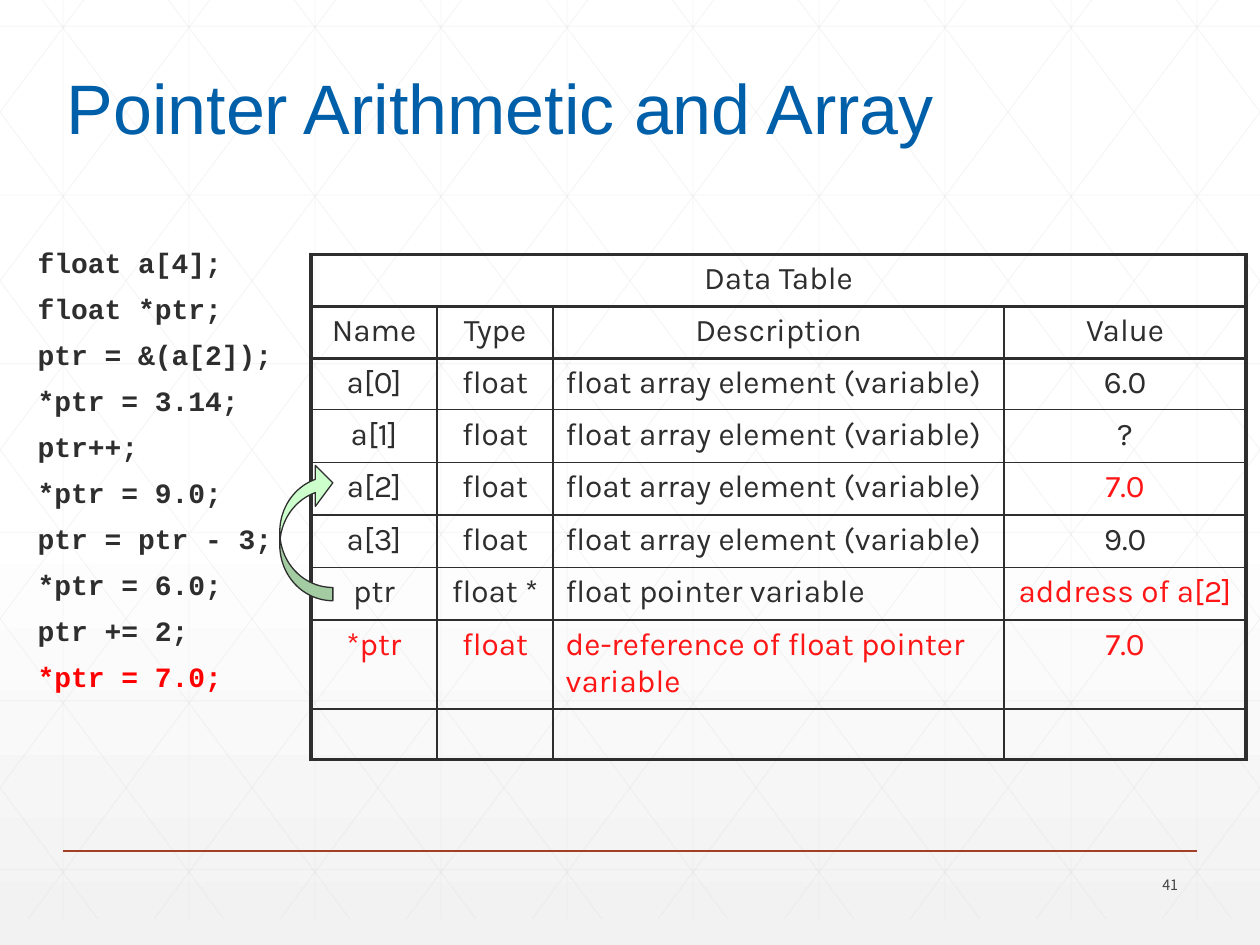
import dataclasses
import typing

import lxml.etree
import pptx
import pptx.dml.color
import pptx.enum.shapes
import pptx.enum.text
import pptx.oxml.ns
import pptx.util

Cm = pptx.util.Cm
Pt = pptx.util.Pt
Align = pptx.enum.text.PP_ALIGN
Anchor = pptx.enum.text.MSO_ANCHOR

COLORS = {
    "white": "FFFFFF",
    "background_end": "F2F2F2",
    "grid": "D9D9D9",
    "rule": "A43F27",
    "title": "005FA9",
    "ink": "2D2E2D",
    "number": "424342",
    "code_red": "FF0000",
    "table_red": "FF1717",
    "arrow": "CCFFCC",
}
SLIDE_WIDTH = 25.4
GRID_TOP, GRID_BOTTOM = -0.53, 18.52
GRID_STEP = 2.54
DIAGONAL_RUN = 14.21
DIAGONAL_SLOPE = (GRID_BOTTOM - GRID_TOP) / DIAGONAL_RUN
THICK, THIN = 2.25, 1


@dataclasses.dataclass
class Line:
    x1: float
    y1: float
    x2: float
    y2: float


@dataclasses.dataclass
class TextStyle:
    font: str
    size: float
    color: str
    bold: bool = False


@dataclasses.dataclass
class Variable:
    name: str
    type: str
    description: str
    value: str
    red_from: int = 4

    def texts(self) -> list[str]:
        return [self.name, self.type, self.description, self.value]


ELEMENT = "float array element (variable)"
VARIABLES = [
    Variable("Name", "Type", "Description", "Value"),
    Variable("a[0]", "float", ELEMENT, "6.0"),
    Variable("a[1]", "float", ELEMENT, "?"),
    Variable("a[2]", "float", ELEMENT, "7.0", red_from=3),
    Variable("a[3]", "float", ELEMENT, "9.0"),
    Variable("ptr", "float *", "float pointer variable", "address of a[2]", red_from=3),
    Variable("*ptr", "float", "de-reference of float pointer variable", "7.0", red_from=0),
    Variable("", "", "", ""),
]
COLUMN_WIDTHS = [2.54, 2.34, 9.09, 4.88]
ROW_HEIGHTS = [1.05, 1.05, 1.03, 1.06, 1.06, 1.06, 1.06, 1.79, 1.01]
CODE = [
    "float a[4];", "float *ptr;", "ptr = &(a[2]);", "*ptr = 3.14;", "ptr++;",
    "*ptr = 9.0;", "ptr = ptr - 3;", "*ptr = 6.0;", "ptr += 2;", "*ptr = 7.0;",
]


def rgb(name: str) -> pptx.dml.color.RGBColor:
    return pptx.dml.color.RGBColor.from_string(COLORS[name])


def add_run(paragraph: typing.Any, text: str, style: TextStyle) -> None:
    run = paragraph.add_run()
    run.text = text
    run.font.name = style.font
    run.font.size = Pt(style.size)
    run.font.bold = style.bold
    run.font.color.rgb = rgb(style.color)


def add_line(shapes: typing.Any, line: Line, color: str, width: float, opacity: int = 100) -> None:
    connector = shapes.add_connector(
        pptx.enum.shapes.MSO_CONNECTOR.STRAIGHT,
        Cm(line.x1), Cm(line.y1), Cm(line.x2), Cm(line.y2))
    connector.line.width = Pt(width)
    connector.line.color.rgb = rgb(color)
    properties = connector._element.spPr
    if opacity < 100:
        fill_color = properties.find(".//" + pptx.oxml.ns.qn("a:srgbClr"))
        lxml.etree.SubElement(fill_color, pptx.oxml.ns.qn("a:alpha"), val=str(opacity * 1000))
    lxml.etree.SubElement(properties, pptx.oxml.ns.qn("a:effectLst"))


def grid_lines() -> list[Line]:
    lines = []
    for index in range(10):
        x = GRID_STEP * (index + 0.5)
        lines.append(Line(x, GRID_TOP, x, GRID_BOTTOM))
    for index in range(6):
        y = 0.53 + 3.4 * index
        lines.append(Line(0, y, SLIDE_WIDTH, y))
    for index in range(-5, 10):
        start = 0.46 + GRID_STEP * index
        x1, x2 = max(start, 0), min(start + DIAGONAL_RUN, SLIDE_WIDTH)
        y1, y2 = (GRID_TOP + (x - start) * DIAGONAL_SLOPE for x in (x1, x2))
        lines.append(Line(x1, y1, x2, y2))
        lines.append(Line(SLIDE_WIDTH - x1, y1, SLIDE_WIDTH - x2, y2))
    return lines


def add_background(slide: typing.Any) -> None:
    fill = slide.background.fill
    fill.gradient()
    fill.gradient_angle = 270
    for stop, position, color in zip(fill.gradient_stops, (0.53, 1), ("white", "background_end")):
        stop.position = position
        stop.color.rgb = rgb(color)
    group = slide.shapes.add_group_shape()
    for line in grid_lines():
        add_line(group.shapes, line, "grid", 0.5, opacity=25)
    add_line(slide.shapes, Line(1.27, 17.15, 24.13, 17.15), "rule", 1)


def add_title(slide: typing.Any) -> None:
    title = slide.shapes.title
    slide.shapes._spTree.append(title._element)
    title.left, title.top, title.width, title.height = Cm(1.09), Cm(1.17), Cm(18.19), Cm(1.96)
    frame = title.text_frame
    frame.word_wrap = False
    frame.auto_size = pptx.enum.text.MSO_AUTO_SIZE.NONE
    frame.vertical_anchor = Anchor.TOP
    frame.paragraphs[0].alignment = Align.LEFT
    add_run(frame.paragraphs[0], "Pointer Arithmetic and Array", TextStyle("Arial", 40, "title"))


def add_slide_number(slide: typing.Any) -> None:
    frame = slide.shapes.add_textbox(Cm(22.1), Cm(17.53), Cm(1.9), Cm(0.61)).text_frame
    frame.word_wrap = True
    frame.vertical_anchor = Anchor.MIDDLE
    frame.paragraphs[0].alignment = Align.RIGHT
    add_run(frame.paragraphs[0], "41", TextStyle("Noto Sans CJK TC", 8.2, "number"))


def add_code(slide: typing.Any) -> None:
    frame = slide.shapes.add_textbox(Cm(0.51), Cm(4.9), Cm(5.72), Cm(11.43)).text_frame
    frame.word_wrap = True
    for index, text in enumerate(CODE):
        paragraph = frame.add_paragraph() if index else frame.paragraphs[0]
        paragraph.line_spacing = 0.9
        if index:
            paragraph.space_before = Pt(9)
        indent = Cm(0.48)
        properties = paragraph._p.get_or_add_pPr()
        properties.set("marL", str(indent))
        properties.set("indent", str(-indent))
        color = "code_red" if index == len(CODE) - 1 else "ink"
        add_run(paragraph, text, TextStyle("Courier New", 16, color, bold=True))


def set_borders(cell: typing.Any, thick: dict[str, bool]) -> None:
    properties = cell._tc.get_or_add_tcPr()
    for index, (side, is_thick) in enumerate(thick.items()):
        border = lxml.etree.Element(
            pptx.oxml.ns.qn("a:ln" + side), w=str(Pt(THICK if is_thick else THIN)))
        fill = lxml.etree.SubElement(border, pptx.oxml.ns.qn("a:solidFill"))
        lxml.etree.SubElement(fill, pptx.oxml.ns.qn("a:srgbClr"), val=COLORS["ink"])
        properties.insert(index, border)


def add_data_table(slide: typing.Any) -> None:
    rows = [Variable("Data Table", "", "", "")] + VARIABLES
    table = slide.shapes.add_table(
        len(rows), len(COLUMN_WIDTHS), Cm(6.27), Cm(5.13),
        Cm(sum(COLUMN_WIDTHS)), Cm(sum(ROW_HEIGHTS))).table
    table.first_row = table.horz_banding = False
    for column, width in zip(table.columns, COLUMN_WIDTHS):
        column.width = Cm(width)
    last_row, last_column = len(rows) - 1, len(COLUMN_WIDTHS) - 1
    for r, variable in enumerate(rows):
        table.rows[r].height = Cm(ROW_HEIGHTS[r])
        for c, text in enumerate(variable.texts()):
            cell = table.cell(r, c)
            cell.fill.background()
            set_borders(cell, {
                "L": r == 0 or c == 0, "R": r == 0 or c == last_column,
                "T": r <= 2, "B": r <= 1 or r == last_row})
            if text:
                paragraph = cell.text_frame.paragraphs[0]
                is_description = c == 2 and r > 1
                paragraph.alignment = Align.LEFT if is_description else Align.CENTER
                color = "table_red" if c >= variable.red_from else "ink"
                add_run(paragraph, text, TextStyle("Karla", 18, color))
    table.cell(0, 0).merge(table.cell(0, last_column))


def add_pointer_arrow(slide: typing.Any) -> None:
    arrow = slide.shapes.add_shape(
        pptx.enum.shapes.MSO_SHAPE.CURVED_LEFT_ARROW, Cm(5.64), Cm(9.32), Cm(1.07), Cm(2.79))
    arrow.rotation = 180
    for index, value in enumerate((0.25, 0.77, 0.33)):
        arrow.adjustments[index] = value
    arrow.shadow.inherit = False
    arrow.fill.solid()
    arrow.fill.fore_color.rgb = rgb("arrow")
    arrow.line.color.rgb = rgb("ink")
    arrow.line.width = Pt(0.75)


def main() -> None:
    presentation = pptx.Presentation()
    presentation.slide_width, presentation.slide_height = Cm(SLIDE_WIDTH), Cm(19.05)
    slide = presentation.slides.add_slide(presentation.slide_layouts[5])
    for add_part in (add_background, add_slide_number, add_title, add_code,
                     add_data_table, add_pointer_arrow):
        add_part(slide)
    presentation.save("out.pptx")


if __name__ == "__main__":
    main()
